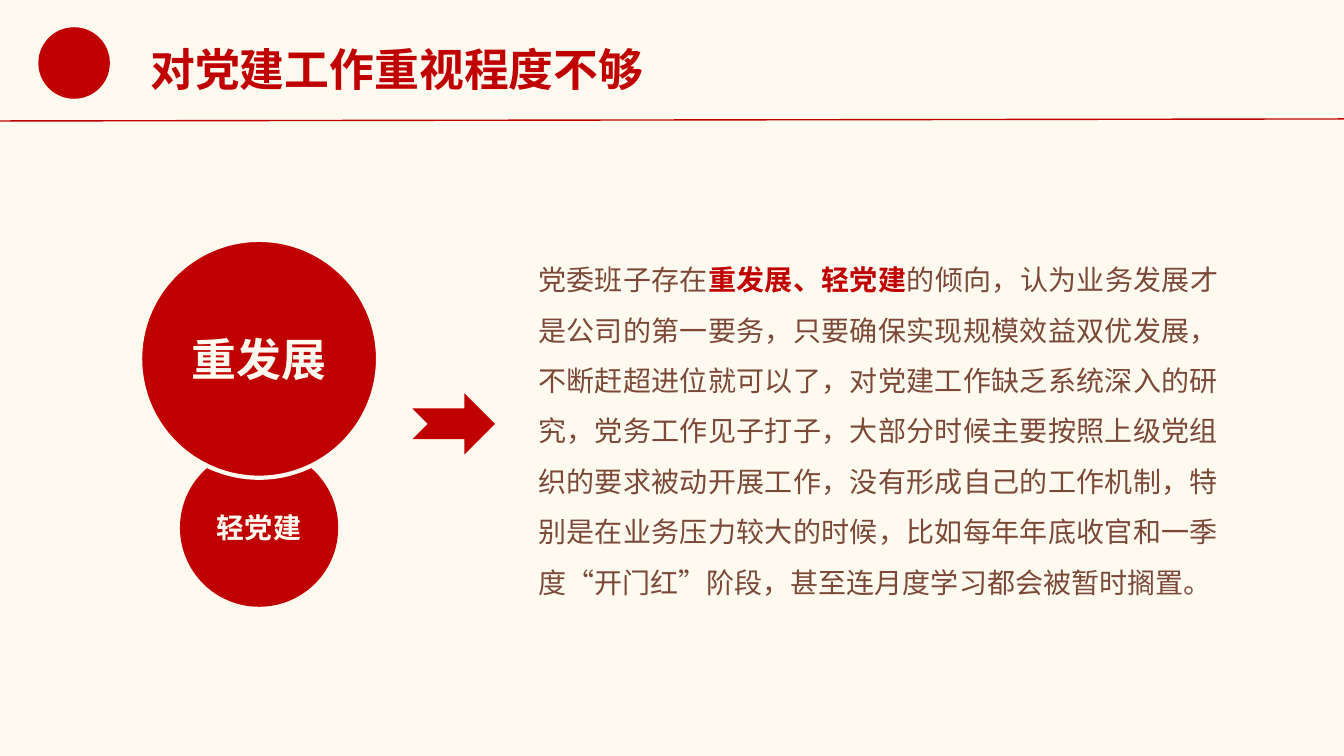
from lxml import etree
from pptx import Presentation
from pptx.dml.color import RGBColor
from pptx.enum import shapes, text
from pptx.oxml import ns
from pptx.util import Inches, Pt

RED = RGBColor(0xC0, 0x00, 0x00)
CREAM = RGBColor(0xFF, 0xFA, 0xF0)
BROWN = RGBColor(0x7C, 0x49, 0x39)
FONT = "Noto Sans CJK SC"

TITLE = "对党建工作重视程度不够"
BODY = [  # words, colour, bold
    ("党委班子存在", BROWN, False),
    ("重发展、轻党建", RED, True),
    ("的倾向，认为业务发展才是公司的第一要务，只要确保实现规模效益双优发展，"
     "不断赶超进位就可以了，对党建工作缺乏系统深入的研究，党务工作见子打子，"
     "大部分时候主要按照上级党组织的要求被动开展工作，没有形成自己的工作机制，"
     "特别是在业务压力较大的时候，比如每年年底收官和一季度“开门红”阶段，"
     "甚至连月度学习都会被暂时搁置。", BROWN, False),
]
AXIS = 2.57  # shared centre line of the two discs
DISCS = [  # words, top, diameter, text size, rim width
    ("轻党建", 4.45, 1.57, 20, 0),
    ("重发展", 2.38, 2.36, 32, 3),
]


def add_run(para, words, size, color, bold):
    run = para.add_run()
    run.text = words
    font = run.font
    font.name, font.size, font.bold = FONT, Pt(size), bold
    font.color.rgb = color
    east = etree.SubElement(run._r.get_or_add_rPr(), ns.qn("a:ea"))
    east.set("typeface", FONT)


def add_form(slide, kind, left, top, width, height):
    """Add a flat red shape without an outline."""
    form = slide.shapes.add_shape(
        kind, Inches(left), Inches(top), Inches(width), Inches(height))
    form.shadow.inherit = False
    form.fill.solid()
    form.fill.fore_color.rgb = RED
    form.line.fill.background()
    return form


def add_head(slide):
    add_form(slide, shapes.MSO_SHAPE.OVAL, 0.38, 0.27, 0.71, 0.71)
    rule = slide.shapes.add_connector(
        shapes.MSO_CONNECTOR.STRAIGHT,
        Inches(0), Inches(1.2), Inches(13.33), Inches(1.18))
    rule.line.color.rgb = RED
    rule.line.width = Pt(1)
    etree.SubElement(rule._element.spPr, ns.qn("a:effectLst"))

    title = slide.shapes.title
    title.left, title.top = Inches(1.39), Inches(0.36)
    title.width, title.height = Inches(5.14), Inches(0.64)
    frame = title.text_frame
    frame.word_wrap = False
    frame.auto_size = text.MSO_AUTO_SIZE.NONE
    frame.vertical_anchor = text.MSO_ANCHOR.MIDDLE
    para = frame.paragraphs[0]
    para.alignment = text.PP_ALIGN.LEFT
    add_run(para, TITLE, 32, RED, True)


def add_body(slide):
    box = slide.shapes.add_textbox(
        Inches(5.24), Inches(2.39), Inches(6.94), Inches(3.64))
    box.text_frame.word_wrap = True
    box.text_frame.auto_size = text.MSO_AUTO_SIZE.SHAPE_TO_FIT_TEXT
    para = box.text_frame.paragraphs[0]
    para.alignment = text.PP_ALIGN.JUSTIFY
    para.line_spacing = 1.5
    for words, color, bold in BODY:
        add_run(para, words, 20, color, bold)


def add_discs(slide):
    for words, top, size, points, rim in DISCS:
        disc = add_form(slide, shapes.MSO_SHAPE.OVAL,
                        AXIS - size / 2, top, size, size)
        if rim:
            disc.line.color.rgb = CREAM
            disc.line.width = Pt(rim)
        disc.text_frame.vertical_anchor = text.MSO_ANCHOR.MIDDLE
        para = disc.text_frame.paragraphs[0]
        para.alignment = text.PP_ALIGN.CENTER
        add_run(para, words, points, CREAM, True)


def main():
    deck = Presentation()
    deck.slide_width, deck.slide_height = Inches(13.33), Inches(7.5)
    slide = deck.slides.add_slide(deck.slide_layouts[5])
    slide.background.fill.solid()
    slide.background.fill.fore_color.rgb = CREAM
    add_head(slide)
    add_body(slide)
    add_discs(slide)
    add_form(slide, shapes.MSO_SHAPE.NOTCHED_RIGHT_ARROW,
             4.09, 3.9, 0.82, 0.61)
    deck.save("out.pptx")


if __name__ == "__main__":
    main()
